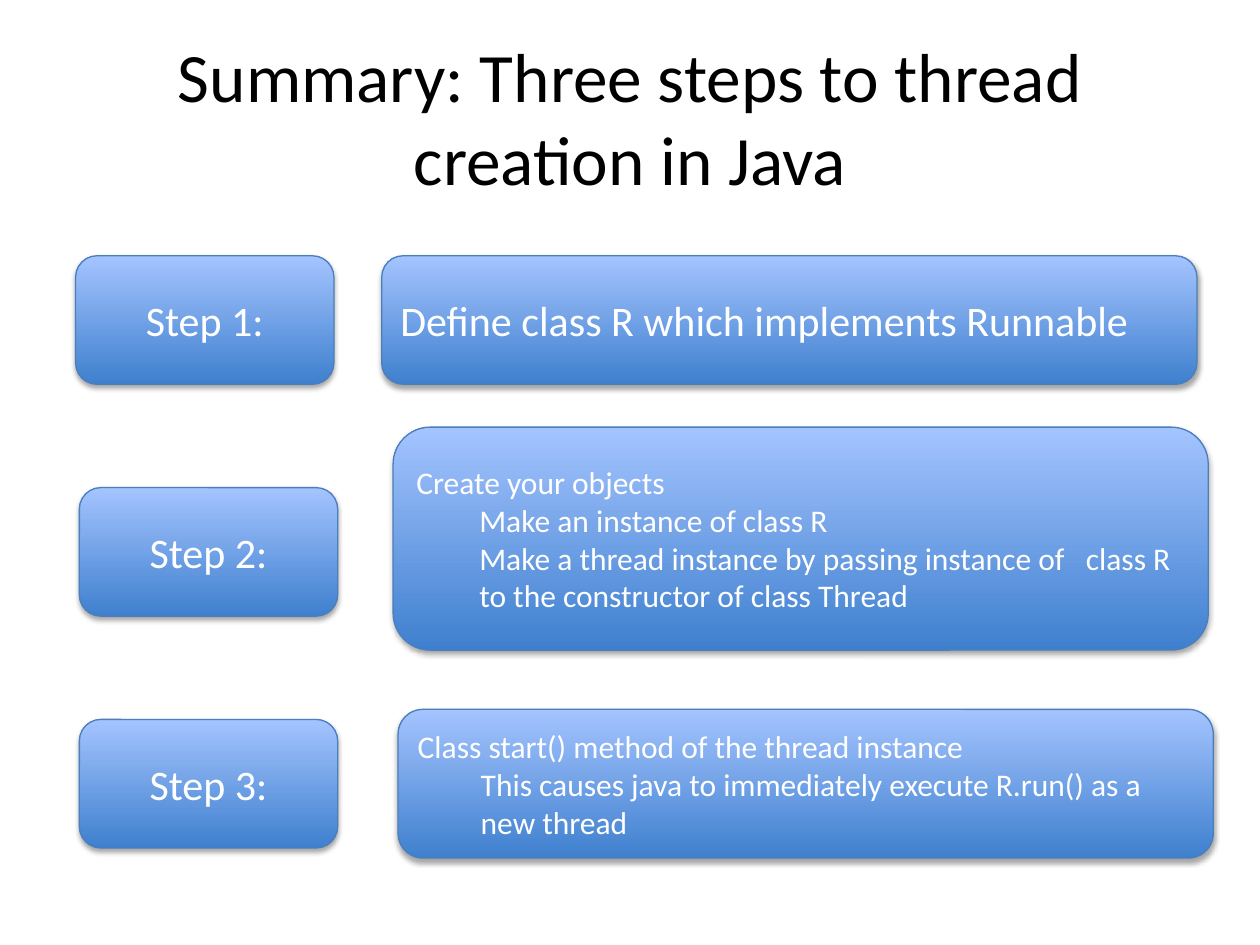
from dataclasses import dataclass

from lxml import etree
from pptx import Presentation
from pptx.dml.color import RGBColor
from pptx.enum.shapes import MSO_SHAPE
from pptx.enum.text import MSO_ANCHOR, PP_ALIGN
from pptx.oxml.ns import qn
from pptx.util import Inches, Pt

ROUNDED = MSO_SHAPE.ROUNDED_RECTANGLE
MIDDLE = MSO_ANCHOR.MIDDLE
LEFT, CENTER = PP_ALIGN.LEFT, PP_ALIGN.CENTER

COLORS = {
    "title": "000000",
    "text": "FFFFFF",
    "gradient_bottom": "3F80CE",
    "gradient_top": "A4C4FF",
    "outline": "4B7EBC",
    "shadow": "000000",
}
FONT = "Calibri"
LABEL_WIDTH, LABEL_HEIGHT = 2.05, 1.02
DETAIL_WIDTH = 6.47


@dataclass
class Step:
    label_left: float
    label_top: float
    detail_left: float
    detail_top: float
    detail_height: float
    detail_size: int
    heading: str
    points: tuple[str, ...] = ()


STEPS = [
    Step(0.6, 2.03, 3.03, 2.03, 1.02, 24,
         "Define class R which implements Runnable"),
    Step(0.63, 3.87, 3.12, 3.39, 1.77, 18, "Create your objects",
         ("Make an instance of class R",
          "Make a thread instance by passing instance of   class R "
          "to the constructor of class Thread")),
    Step(0.63, 5.71, 3.16, 5.63, 1.18, 18,
         "Class start() method of the thread instance",
         ("This causes java to immediately execute R.run() as a new thread",)),
]


def color(name: str) -> RGBColor:
    return RGBColor.from_string(COLORS[name])


def style_font(paragraph, size: float, color_name: str) -> None:
    paragraph.font.name = FONT
    paragraph.font.size = Pt(size)
    paragraph.font.color.rgb = color(color_name)


def add_soft_shadow(shape) -> None:
    shape.shadow.inherit = False
    effects = shape._element.spPr.find(qn("a:effectLst"))
    shadow = etree.SubElement(
        effects, qn("a:outerShdw"), blurRad=str(Pt(3.1)), dist=str(Pt(1.8)),
        dir="5400000", rotWithShape="0")
    tint = etree.SubElement(shadow, qn("a:srgbClr"), val=COLORS["shadow"])
    etree.SubElement(tint, qn("a:alpha"), val="35000")


def add_box(slide, left: float, top: float, width: float, height: float,
            lines: tuple[str, ...], size: int, alignment: PP_ALIGN) -> None:
    """Add a glossy box; every line after the first is indented one level."""
    box = slide.shapes.add_shape(
        ROUNDED, Inches(left), Inches(top), Inches(width), Inches(height))
    box.fill.gradient()
    box.fill.gradient_angle = 90
    for stop, position, name in zip(box.fill.gradient_stops, (0, 1),
                                    ("gradient_bottom", "gradient_top")):
        stop.position = position
        stop.color.rgb = color(name)
    box.line.color.rgb = color("outline")
    box.line.width = Pt(0.75)
    add_soft_shadow(box)

    frame = box.text_frame
    frame.word_wrap = True
    frame.vertical_anchor = MIDDLE
    for index, line in enumerate(lines):
        paragraph = frame.add_paragraph() if index else frame.paragraphs[0]
        paragraph.text = line
        paragraph.alignment = alignment
        style_font(paragraph, size, "text")
        if index:
            paragraph.level = 1
            properties = paragraph._p.get_or_add_pPr()
            properties.set("marL", str(Inches(0.5)))
            properties.set("indent", "0")


def add_title(slide, text: str) -> None:
    title = slide.shapes.title
    title.left, title.top = Inches(0.5), Inches(0.3)
    title.width, title.height = Inches(9), Inches(1.25)
    title.text_frame.text = text
    title.text_frame.vertical_anchor = MIDDLE
    heading = title.text_frame.paragraphs[0]
    heading.alignment = CENTER
    style_font(heading, 39.6, "title")


def main() -> None:
    presentation = Presentation()
    presentation.slide_width = Inches(10)
    presentation.slide_height = Inches(7.5)
    title_only = presentation.slide_layouts[5]
    slide = presentation.slides.add_slide(title_only)

    add_title(slide, "Summary: Three steps to thread creation in Java")
    for number, step in enumerate(STEPS, start=1):
        add_box(slide, step.label_left, step.label_top, LABEL_WIDTH,
                LABEL_HEIGHT, (f"Step {number}:",), 24, CENTER)
        add_box(slide, step.detail_left, step.detail_top, DETAIL_WIDTH,
                step.detail_height, (step.heading, *step.points),
                step.detail_size, LEFT)

    presentation.save("out.pptx")


if __name__ == "__main__":
    main()
